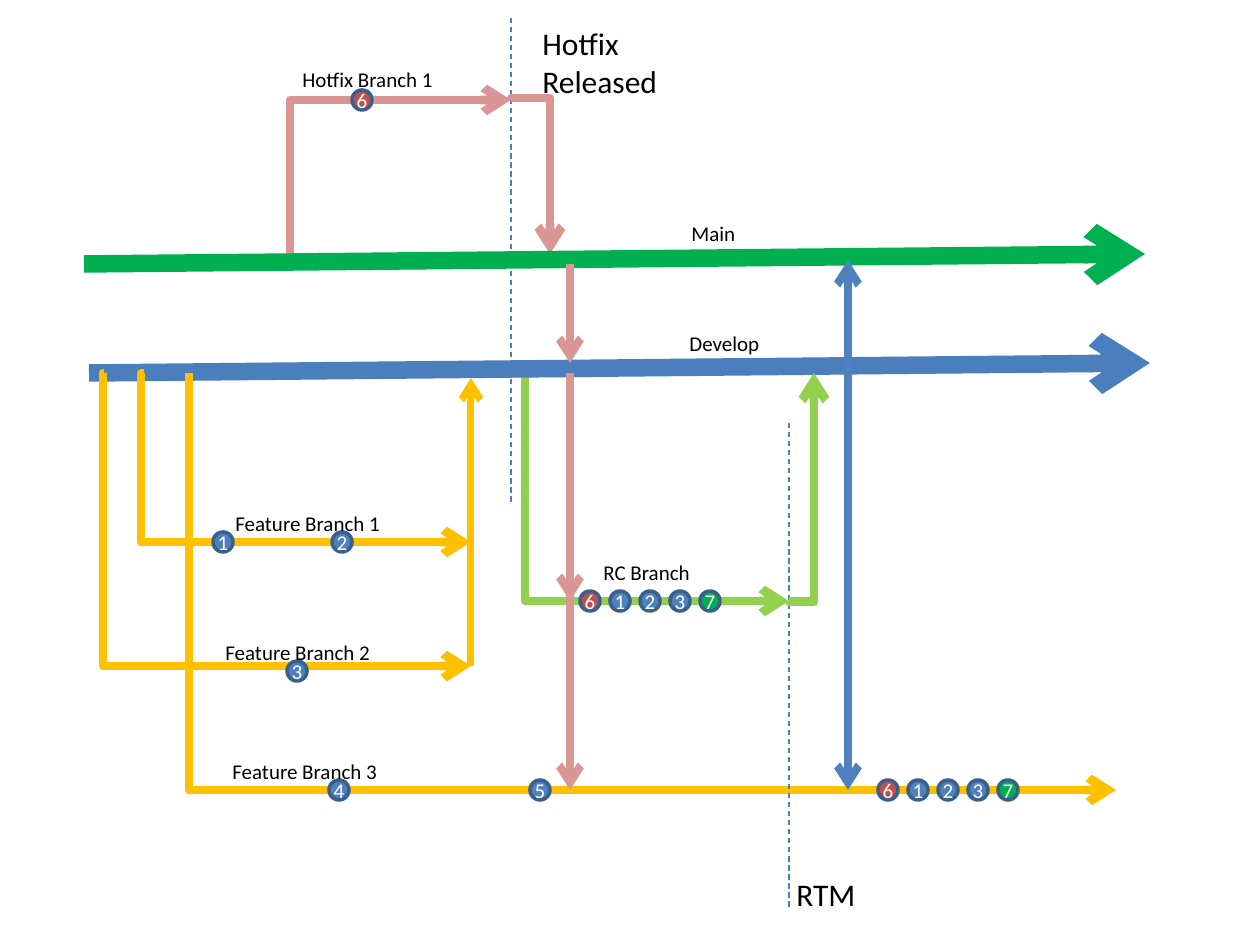
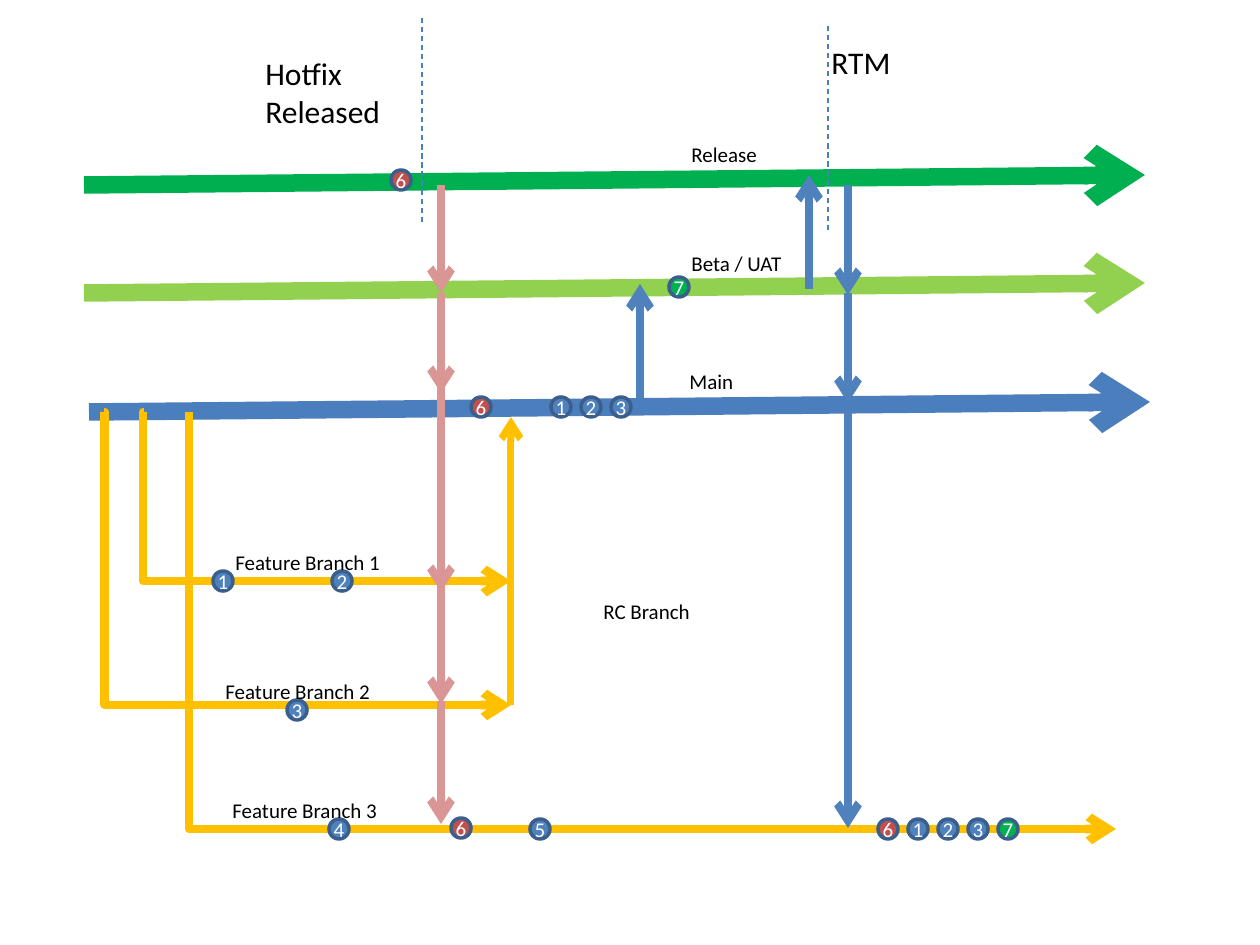
"""Two branching diagrams: a hotfix/RC flow and a release-lane flow."""
from dataclasses import dataclass
from typing import Optional

from lxml import etree
from pptx import Presentation
from pptx.dml.color import RGBColor
from pptx.enum.dml import MSO_LINE
from pptx.enum.shapes import MSO_CONNECTOR, MSO_SHAPE
from pptx.enum.text import MSO_ANCHOR, MSO_AUTO_SIZE, PP_ALIGN
from pptx.oxml.ns import qn
from pptx.util import Emu, Inches, Pt

PX = 914400 / 126
FONT = "Calibri"
BLACK = RGBColor(0x00, 0x00, 0x00)
WHITE = RGBColor(0xFF, 0xFF, 0xFF)
GREEN = RGBColor(0x00, 0xB0, 0x50)
LIME = RGBColor(0x92, 0xD0, 0x50)
LANE_BLUE = RGBColor(0x4B, 0x7E, 0xBC)
BLUE = RGBColor(0x4F, 0x81, 0xBD)
DOT_EDGE = RGBColor(0x3A, 0x5F, 0x8C)
AMBER = RGBColor(0xFF, 0xC0, 0x00)
PINK = RGBColor(0xD9, 0x96, 0x94)
RED = RGBColor(0xC0, 0x50, 0x4D)

DOT_FILL = {"6": RED, "7": GREEN}
DOT_SIZE, DOT_STEP = 20, 30
LANE_RISE, LANE_LENGTH = 10, 1061
FEATURE_DEPTHS = (169, 293, 417)  # branch lines below their lane
PICKED = "61237"


@dataclass(frozen=True)
class Arrow:
    """A line from (x1, y1) to (x2, y2); a via makes it an elbow."""
    x1: int
    y1: int
    x2: int
    y2: int
    color: RGBColor
    weight: float = 5
    via_x: Optional[int] = None
    via_y: Optional[int] = None
    dashed: bool = False


@dataclass(frozen=True)
class Dots:
    """A row of numbered commits, centred on (x, y) for the first."""
    x: int
    y: int
    numbers: str


@dataclass(frozen=True)
class Label:
    """A caption; each line of text is a paragraph."""
    text: str
    x: int
    y: int
    width: int
    height: int = 38
    size: int = 12
    wrap: bool = False


def px(value: float) -> Emu:
    """Turn pixels into EMU."""
    return Emu(round(value * PX))


def draw_arrow(slide, a: Arrow) -> None:
    """Draw a straight, elbow or dashed line."""
    kind, ends, ratio, turn = MSO_CONNECTOR.STRAIGHT, (a.x1, a.y1, a.x2, a.y2), None, 0
    if a.via_x is not None:
        kind, ratio = MSO_CONNECTOR.ELBOW, (a.via_x - a.x1) / (a.x2 - a.x1)
    elif a.via_y is not None:
        # The preset leaves sideways, so lay it out flat and rotate it.
        kind, ratio = MSO_CONNECTOR.ELBOW, (a.via_y - a.y1) / (a.y2 - a.y1)
        mid_x, mid_y = (a.x1 + a.x2) / 2, (a.y1 + a.y2) / 2
        half_w, half_h = abs(a.y2 - a.y1) / 2, abs(a.x2 - a.x1) / 2
        turn = 90 if a.y2 < a.y1 else 270
        if turn == 270:
            half_h = -half_h
        ends = (mid_x + half_w, mid_y + half_h, mid_x - half_w, mid_y - half_h)
    line = slide.shapes.add_connector(kind, *map(px, ends))
    line.line.color.rgb = a.color
    line.line.width = Pt(a.weight)
    properties = line._element.spPr
    if ratio is not None:
        guides = properties.find(qn("a:prstGeom")).get_or_add_avLst()
        etree.SubElement(guides, qn("a:gd"), name="adj1",
                         fmla=f"val {round(ratio * 100000)}")
    if turn:
        properties.find(qn("a:xfrm")).set("rot", str(turn * 60000))
    if a.dashed:
        line.line.dash_style = MSO_LINE.DASH
    else:
        etree.SubElement(line.line._get_or_add_ln(), qn("a:tailEnd"), type="arrow")
    etree.SubElement(properties, qn("a:effectLst"))


def style_run(paragraph, text: str, size: int, color: RGBColor) -> None:
    """Add formatted text to a paragraph."""
    run = paragraph.add_run()
    run.text = text
    run.font.name, run.font.size = FONT, Pt(size)
    run.font.color.rgb = color


def draw_dots(slide, row: Dots) -> None:
    """Draw a row of numbered circles."""
    for i, number in enumerate(row.numbers):
        dot = slide.shapes.add_shape(
            MSO_SHAPE.OVAL, px(row.x + i * DOT_STEP - DOT_SIZE / 2),
            px(row.y - DOT_SIZE / 2), px(DOT_SIZE), px(DOT_SIZE))
        dot.shadow.inherit = False
        dot.fill.solid()
        dot.fill.fore_color.rgb = DOT_FILL.get(number, BLUE)
        dot.line.color.rgb, dot.line.width = DOT_EDGE, Pt(2)
        frame = dot.text_frame
        frame.margin_left = frame.margin_right = frame.margin_top = frame.margin_bottom = 0
        frame.word_wrap, frame.vertical_anchor = False, MSO_ANCHOR.MIDDLE
        frame.paragraphs[0].alignment = PP_ALIGN.CENTER
        style_run(frame.paragraphs[0], number, 12, WHITE)


def draw_label(slide, label: Label) -> None:
    """Draw a caption."""
    box = slide.shapes.add_textbox(px(label.x), px(label.y),
                                   px(label.width), px(label.height))
    frame = box.text_frame
    frame.word_wrap = label.wrap
    frame.auto_size = MSO_AUTO_SIZE.SHAPE_TO_FIT_TEXT
    for i, text in enumerate(label.text.split("\n")):
        paragraph = frame.add_paragraph() if i else frame.paragraphs[0]
        style_run(paragraph, text, label.size, BLACK)


def lane(x: int, y: int, color: RGBColor) -> Arrow:
    """Return a long-lived branch that rises slightly to the right."""
    return Arrow(x, y, x + LANE_LENGTH, y - LANE_RISE, color, 10)


def vertical(x: int, y1: int, y2: int, color: RGBColor, weight: float = 4.5) -> Arrow:
    """Return a merge arrow."""
    return Arrow(x, y1, x, y2, color, weight)


def milestone(x: int, top: int, bottom: int) -> Arrow:
    """Return a dashed release marker."""
    return Arrow(x, top, x, bottom, LANE_BLUE, 0.75, dashed=True)


def features(lane_y: int, merge_x: int, bends: tuple[int, int]) -> list:
    """Return the three feature branches with their commits and captions."""
    first, second, third = (lane_y + depth for depth in FEATURE_DEPTHS)
    return [
        Arrow(144, lane_y, merge_x, first, AMBER, via_x=bends[0]),
        Arrow(104, lane_y, merge_x, second, AMBER, via_x=bends[1]),
        Arrow(189, lane_y, 1116, third, AMBER, via_x=189),
        vertical(merge_x, second, lane_y + 5, AMBER, 4),
        Dots(223, first, "1"), Dots(342, first, "2"), Dots(297, second + 5, "3"),
        Dots(339, third, "4"), Dots(540, third, "5"), Dots(888, third, PICKED),
        Label("Feature Branch 1", 223, first - 38, 171),
        Label("Feature Branch 2", 213, second - 33, 171),
        Label("Feature Branch 3", 220, third - 38, 171),
    ]


def released(x: int, y: int, width: int) -> Label:
    """Return the two-line hotfix milestone caption."""
    return Label("Hotfix\nReleased", x, y, width, 89, 18, True)


def rtm(x: int, y: int) -> Label:
    """Return the RTM milestone caption."""
    return Label("RTM", x, y, 84, 50, 18)


def branch_flow() -> list:
    """Return the diagram with separate hotfix and RC branches."""
    return [
        Arrow(525, 373, 789, 601, LIME, via_x=525),
        lane(89, 373, LANE_BLUE),
        *features(373, 471, (141, 103)),
        milestone(789, 423, 908),
        Arrow(789, 601, 814, 373, LIME, via_y=602),
        Arrow(288, 254, 511, 100, PINK, via_x=290),
        milestone(511, 18, 504),
        Arrow(511, 100, 550, 254, PINK, via_y=98),
        vertical(570, 373, 601, PINK),
        vertical(570, 562, 790, PINK),
        vertical(848, 373, 790, BLUE),
        lane(84, 264, GREEN),
        vertical(848, 373, 260, BLUE),
        vertical(570, 264, 363, PINK),
        Dots(362, 100, "6"), Dots(590, 601, PICKED),
        released(530, 18, 189), rtm(784, 869),
        Label("Hotfix Branch 1", 290, 60, 157),
        Label("Develop", 677, 324, 96),
        Label("RC Branch", 591, 553, 112),
        Label("Main", 679, 214, 69),
    ]


def lane_flow() -> list:
    """Return the diagram with release, beta and main lanes."""
    pink_steps = ((312, 592), (581, 704), (185, 293), (701, 824), (293, 393))
    blue_steps = ((412, 828), (293, 403), (185, 295))
    return [
        lane(84, 293, LIME), lane(84, 185, GREEN), lane(89, 412, LANE_BLUE),
        *features(412, 511, (143, 105)),
        milestone(828, 26, 232), milestone(422, 18, 224),
        *(vertical(441, top, bottom, PINK) for top, bottom in pink_steps),
        *(vertical(848, top, bottom, BLUE) for top, bottom in blue_steps),
        vertical(640, 398, 284, BLUE),
        vertical(809, 289, 175, BLUE),
        Dots(481, 407, "6"), Dots(561, 407, "123"), Dots(679, 287, "7"),
        Dots(401, 180, "6"), Dots(461, 828, "6"),
        released(253, 48, 149), rtm(819, 37),
        Label("Release", 679, 135, 97),
        Label("Beta / UAT", 679, 244, 117),
        Label("Main", 677, 362, 69),
        Label("RC Branch", 591, 592, 112),
    ]


DRAW = {Arrow: draw_arrow, Dots: draw_dots, Label: draw_label}


def main() -> None:
    """Build both slides and save them."""
    deck = Presentation()
    deck.slide_width, deck.slide_height = Inches(10), Inches(7.5)
    for items in (branch_flow(), lane_flow()):
        slide = deck.slides.add_slide(deck.slide_layouts[6])
        for kind, draw in DRAW.items():
            for item in items:
                if isinstance(item, kind):
                    draw(slide, item)
    deck.save("out.pptx")


main()
